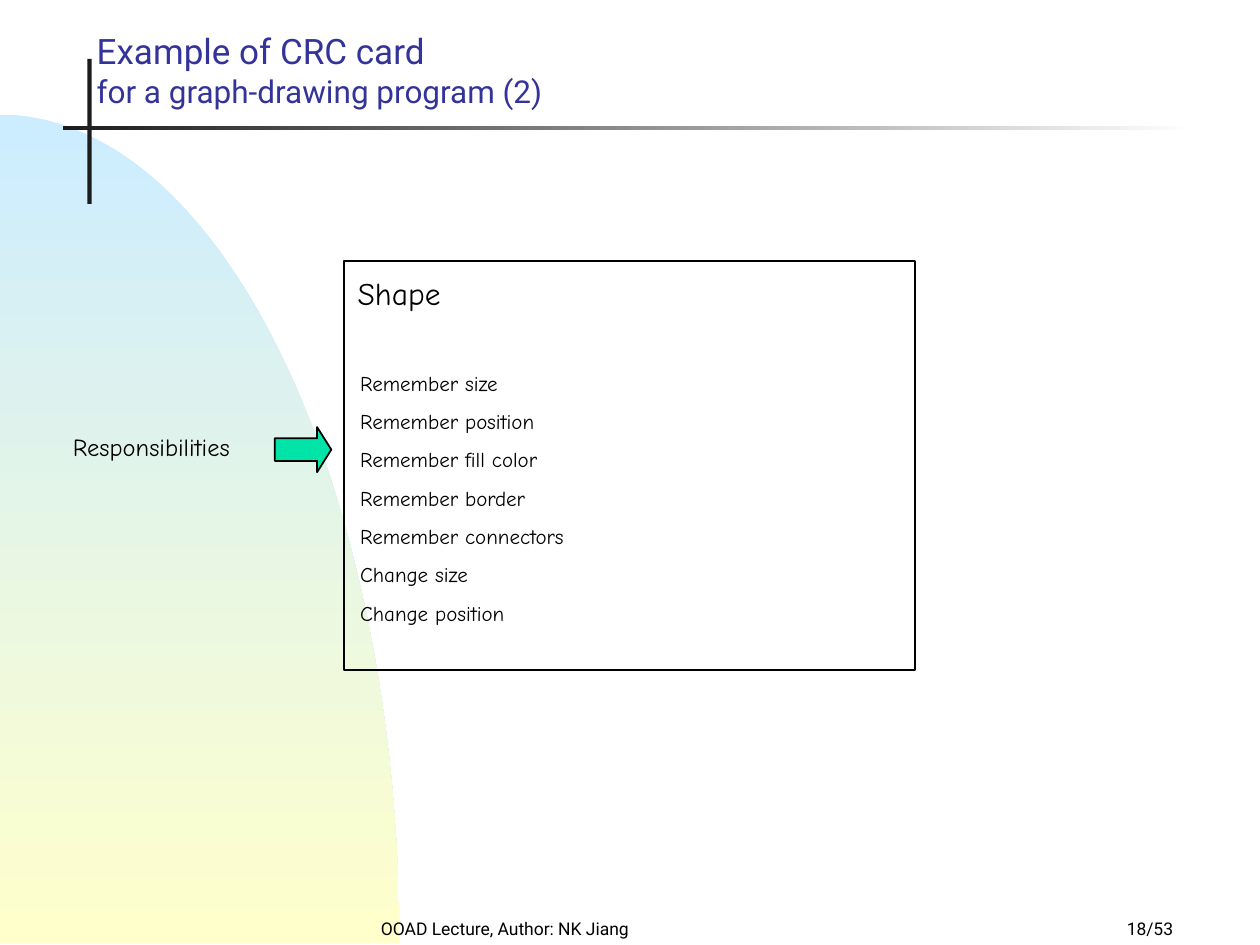
from math import cos, pi, sin

from pptx import Presentation
from pptx.dml.color import RGBColor
from pptx.enum.shapes import MSO_SHAPE as Kind
from pptx.enum.text import MSO_ANCHOR as Anchor, MSO_AUTO_SIZE as Auto, PP_ALIGN as Align
from pptx.util import Cm, Pt

HUES = {
    "sky": "CCECFF", "cream": "FFFFCC", "dark": "1C1C1C", "white": "FFFFFF",
    "title": "333399", "ink": "000000", "arrow": "00E4A8",
}
DUTIES = [
    "Remember size", "Remember position", "Remember fill color", "Remember border",
    "Remember connectors", "Change size", "Change position",
]


def hue(name):
    """Return the named colour."""
    return RGBColor.from_string(HUES[name])


def paint(shape, fill=None, line=None):
    """Give a shape a flat fill and a thin line, or none."""
    shape.shadow.inherit = False
    if fill:
        shape.fill.solid()
        shape.fill.fore_color.rgb = hue(fill)
    else:
        shape.fill.background()
    if line:
        shape.line.color.rgb = hue(line)
        shape.line.width = Pt(1)
    else:
        shape.line.fill.background()
    return shape


def fade(shape, names, angle):
    """Fill a shape with a two-colour gradient."""
    paint(shape).fill.gradient()
    shape.fill.gradient_angle = angle
    for stop, name, place in zip(shape.fill.gradient_stops, names, (0, 1)):
        stop.color.rgb = hue(name)
        stop.position = place


def block(slide, kind, x, y, w, h):
    """Add a preset shape, measured in centimetres."""
    return slide.shapes.add_shape(kind, Cm(x), Cm(y), Cm(w), Cm(h))


def style(font, size, face, color="ink"):
    """Set the size, face and colour of a font."""
    font.size, font.name, font.color.rgb = Pt(size), face, hue(color)


def write(slide, box, lines, size, face="Comic Neue", align=Align.LEFT,
          gap=0, wrap=True, anchor=Anchor.TOP):
    """Add a text box with one paragraph for each line."""
    frame = slide.shapes.add_textbox(*map(Cm, box)).text_frame
    frame.word_wrap, frame.vertical_anchor = wrap, anchor
    frame.auto_size = Auto.SHAPE_TO_FIT_TEXT if anchor == Anchor.TOP else Auto.NONE
    frame.text = "\n".join(lines)
    for para in frame.paragraphs:
        para.alignment, para.space_before = align, Pt(gap)
        style(para.font, size, face)
    return frame


def draw_back(slide, x, y, w, h):
    """Draw the quarter ellipse and the crossed rules."""
    steps = 90
    turns = [pi / 2 * i / steps for i in range(steps + 1)]
    arc = [(Cm(x + w * sin(t)), Cm(y + h - h * cos(t))) for t in turns]
    pen = slide.shapes.build_freeform(*arc[0])
    pen.add_line_segments(arc[1:] + [(Cm(x), Cm(y + h))], close=True)
    fade(pen.convert_to_shape(), ("sky", "cream"), 270)
    paint(block(slide, Kind.RECTANGLE, x + 1.76, y - 1.12, 0.09, 2.92), "dark")
    fade(block(slide, Kind.RECTANGLE, x + 1.27, y + 0.23, 22.86, 0.08),
         ("dark", "white"), 0)


def draw_title(slide, x, y, w, h):
    """Write the two-line title."""
    frame = write(slide, (x, y, w, h), [], 20, "Roboto", anchor=Anchor.BOTTOM)
    para = frame.paragraphs[0]
    for text, size in (("Example of CRC card", 20),
                       ("for a graph-drawing program (2)", 18)):
        if para.runs:
            para.add_line_break()
        run = para.add_run()
        run.text = text
        style(run.font, size, "Roboto", "title")


def draw_foot(slide, x, y, w, h):
    """Write the lecture credit and the page count."""
    write(slide, (x, y, 8.05, h), ["OOAD Lecture, Author: NK Jiang"], 10,
          "Roboto", Align.CENTER, anchor=Anchor.BOTTOM)
    write(slide, (x + w - 5.28, y, 5.28, h), ["18/53"], 10,
          "Roboto", Align.RIGHT, anchor=Anchor.BOTTOM)


def draw_card(slide, x, y, w, h):
    """Draw the class card with its name and duties."""
    paint(block(slide, Kind.RECTANGLE, x, y, w, h), line="ink")
    write(slide, (x + 0.08, y + 2.08, 5.69, 5.41), DUTIES, 12, gap=7.5)
    write(slide, (x + 0.03, y + 0.13, 2.18, 1.02), ["Shape"], 18,
          gap=11.2, wrap=False)


def draw_label(slide, x, y, w, h):
    """Draw the side label and the arrow to the card."""
    write(slide, (x, y, 3.68, 0.86), ["Responsibilities"], 14, wrap=False)
    arrow = block(slide, Kind.RIGHT_ARROW, x + w - 1.14, y + 0.03, 1.14, h)
    arrow.adjustments[0], arrow.adjustments[1] = 0.5, 0.315
    paint(arrow, "arrow", "ink")


def main():
    """Build and save the slide."""
    deck = Presentation()
    deck.slide_width, deck.slide_height = Cm(25.4), Cm(19.05)
    slide = deck.slides.add_slide(deck.slide_layouts[6])
    draw_back(slide, 0, 2.31, 8.05, 16.71)
    draw_foot(slide, 6.15, 18.21, 17.75, 0.84)
    draw_title(slide, 1.7, 0.43, 17.98, 1.9)
    draw_card(slide, 6.93, 5.26, 11.51, 8.25)
    draw_label(slide, 1.22, 8.58, 5.46, 0.91)
    deck.save("out.pptx")


if __name__ == "__main__":
    main()
